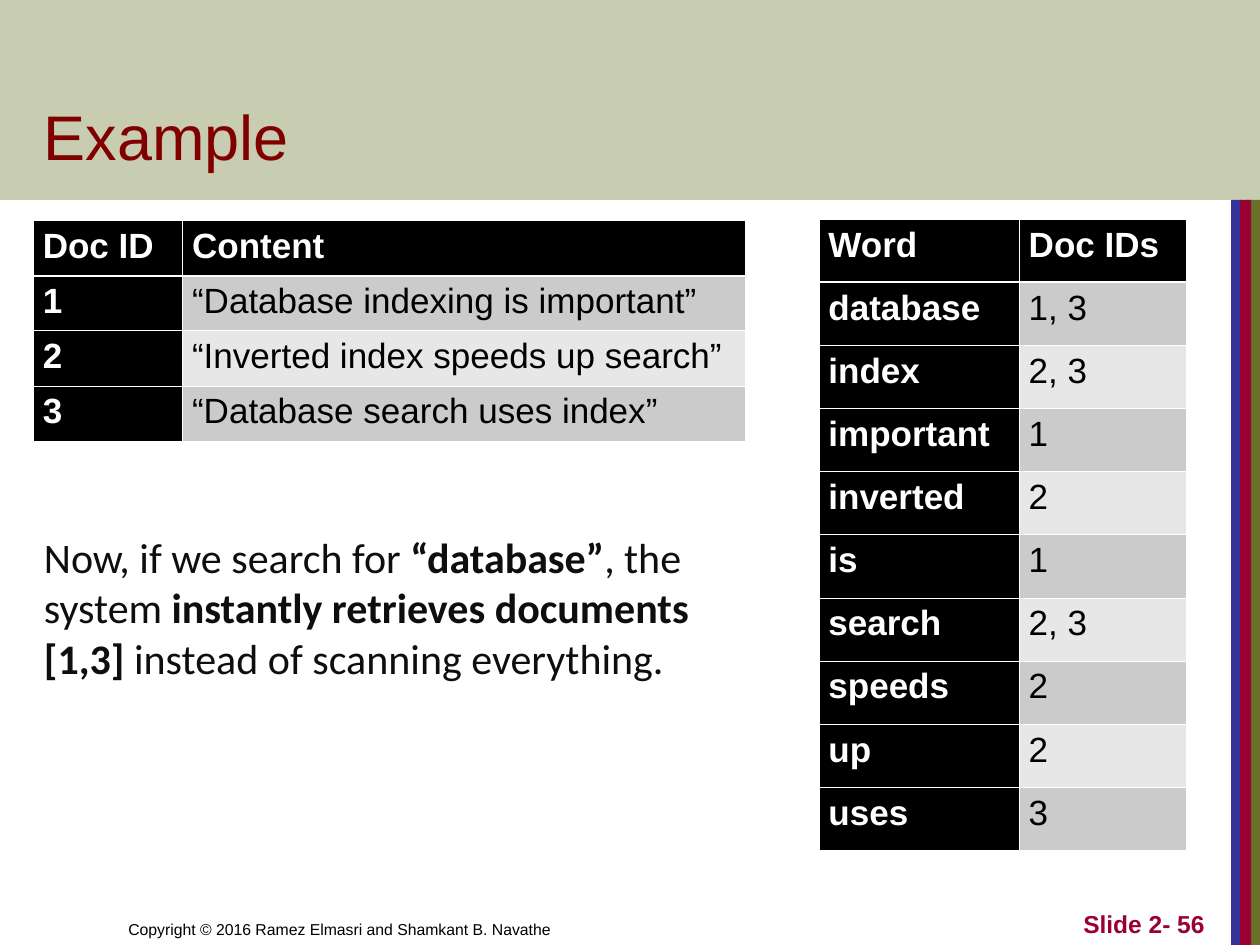
from dataclasses import dataclass

from lxml.etree import SubElement
from pptx import Presentation
from pptx.dml.color import RGBColor as RGB
from pptx.enum.shapes import MSO_SHAPE as SHAPE
from pptx.enum.text import MSO_ANCHOR as ANCHOR, PP_ALIGN as ALIGN
from pptx.oxml.ns import qn
from pptx.util import Inches, Pt

COLS, ROWS = 100, 75
WIDTH, HEIGHT = Inches(10), Inches(7.5)


@dataclass(frozen=True)
class Theme:
    """Colours, fonts and type sizes of the slide."""
    olive: str = "677228"
    blue: str = "333399"
    crimson: str = "990033"
    maroon: str = "800000"
    black: str = "000000"
    ink: str = "0E0E0E"
    white: str = "FFFFFF"
    bands: tuple = ("CBCBCB", "E7E7E7")
    font: str = "Arial"
    body_font: str = "Calibri"
    title: int = 36
    body: int = 24
    cell: int = 20
    number: int = 14
    footer: int = 9
    thin: float = 0.45
    thick: float = 1.47


T = Theme()


def x(cols):
    """Turn grid columns into a length."""
    return int(WIDTH * cols / COLS)


def y(rows):
    """Turn grid rows into a length."""
    return int(HEIGHT * rows / ROWS)


def place(left, top, width, height):
    """Turn a grid box into slide lengths."""
    return x(left), y(top), x(width), y(height)


def write(tf, text, size=T.cell, color=T.black, font=T.font, bold=False,
          align=ALIGN.LEFT):
    """Write text, toggling bold at each asterisk."""
    p = tf.paragraphs[0]
    p.alignment = align
    for i, part in enumerate(text.split("*")):
        if part:
            r = p.add_run()
            r.text = part
            r.font.size, r.font.name = Pt(size), font
            r.font.bold = bold != bool(i % 2)
            r.font.color.rgb = RGB.from_string(color)


def add_text(s, box, text, anchor=ANCHOR.BOTTOM, **fmt):
    """Add a wrapped text box."""
    tf = s.shapes.add_textbox(*place(*box)).text_frame
    tf.word_wrap, tf.vertical_anchor = True, anchor
    write(tf, text, **fmt)


def add_bar(s, box, color, alpha=None):
    """Add a plain rectangle, see-through if alpha is given in percent."""
    sp = s.shapes.add_shape(SHAPE.RECTANGLE, *place(*box))
    sp.shadow.inherit = False
    sp.line.fill.background()
    sp.fill.solid()
    sp.fill.fore_color.rgb = RGB.from_string(color)
    if alpha:
        clr = sp.fill._xPr.find(qn("a:solidFill"))[0]
        SubElement(clr, qn("a:alpha"), val=str(alpha * 1000))


def add_borders(cell, row):
    """Draw white cell borders, thick under the header row."""
    thick = {"lnB"} if row == 0 else {"lnT"} if row == 1 else set()
    tc_pr = cell._tc.get_or_add_tcPr()
    for side in ("lnL", "lnR", "lnT", "lnB"):
        w = Pt(T.thick if side in thick else T.thin)
        ln = SubElement(tc_pr, qn(f"a:{side}"), w=str(w))
        fill = SubElement(ln, qn("a:solidFill"))
        SubElement(fill, qn("a:srgbClr"), val=T.white)


def add_grid(s, left, top, widths, row_height, rows):
    """Add a table with black headings and banded rows."""
    box = place(left, top, sum(widths), row_height * len(rows))
    tbl = s.shapes.add_table(len(rows), len(widths), *box).table
    tbl.first_col = True
    for col, width in zip(tbl.columns, widths):
        col.width = x(width)
    for i, values in enumerate(rows):
        tbl.rows[i].height = y(row_height)
        for j, value in enumerate(values):
            cell = tbl.cell(i, j)
            heading = i == 0 or j == 0
            cell.margin_left = cell.margin_right = x(0.75)
            add_borders(cell, i)
            cell.fill.solid()
            cell.fill.fore_color.rgb = RGB.from_string(
                T.black if heading else T.bands[(i - 1) % 2])
            write(cell.text_frame, value, bold=heading,
                  color=T.white if heading else T.black)


def main():
    """Build and save the slide."""
    prs = Presentation()
    prs.slide_width, prs.slide_height = WIDTH, HEIGHT
    s = prs.slides.add_slide(prs.slide_layouts[6])

    band = 15.87
    for left, width, color in ((98.9, 1.1, T.olive), (97.7, 0.9, T.blue),
                               (98.4, 0.9, T.crimson)):
        add_bar(s, (left, band, width, ROWS - band), color)
    add_bar(s, (0, 0, COLS, band), T.olive, alpha=36)

    add_text(s, (9.2, 70, 49.2, 5),
             "Copyright © 2016 Ramez Elmasri and Shamkant B. Navathe",
             size=T.footer)
    add_text(s, (2.5, 3.3, 85.3, 10.9), "Example", size=T.title,
             color=T.maroon)
    add_text(s, (75.8, 70, 20.8, 5), "Slide 2- 56", size=T.number,
             color=T.crimson, bold=True, align=ALIGN.RIGHT)

    add_grid(s, 2.65, 17.5, (11.85, 44.7), 4.38, [
        ("Doc ID", "Content"),
        ("1", "“Database indexing is important”"),
        ("2", "“Inverted index speeds up search”"),
        ("3", "“Database search uses index”")])
    add_grid(s, 65, 17.4, (15.9, 13.25), 5.01, [
        ("Word", "Doc IDs"), ("database", "1, 3"), ("index", "2, 3"),
        ("important", "1"), ("inverted", "2"), ("is", "1"),
        ("search", "2, 3"), ("speeds", "2"), ("up", "2"), ("uses", "3")])

    add_text(s, (2.5, 41.7, 58.2, 17),
             "Now, if we search for *“database”*, the system *instantly "
             "retrieves documents [1,3]* instead of scanning everything.",
             anchor=ANCHOR.TOP, size=T.body, color=T.ink, font=T.body_font)

    prs.save("out.pptx")


main()
